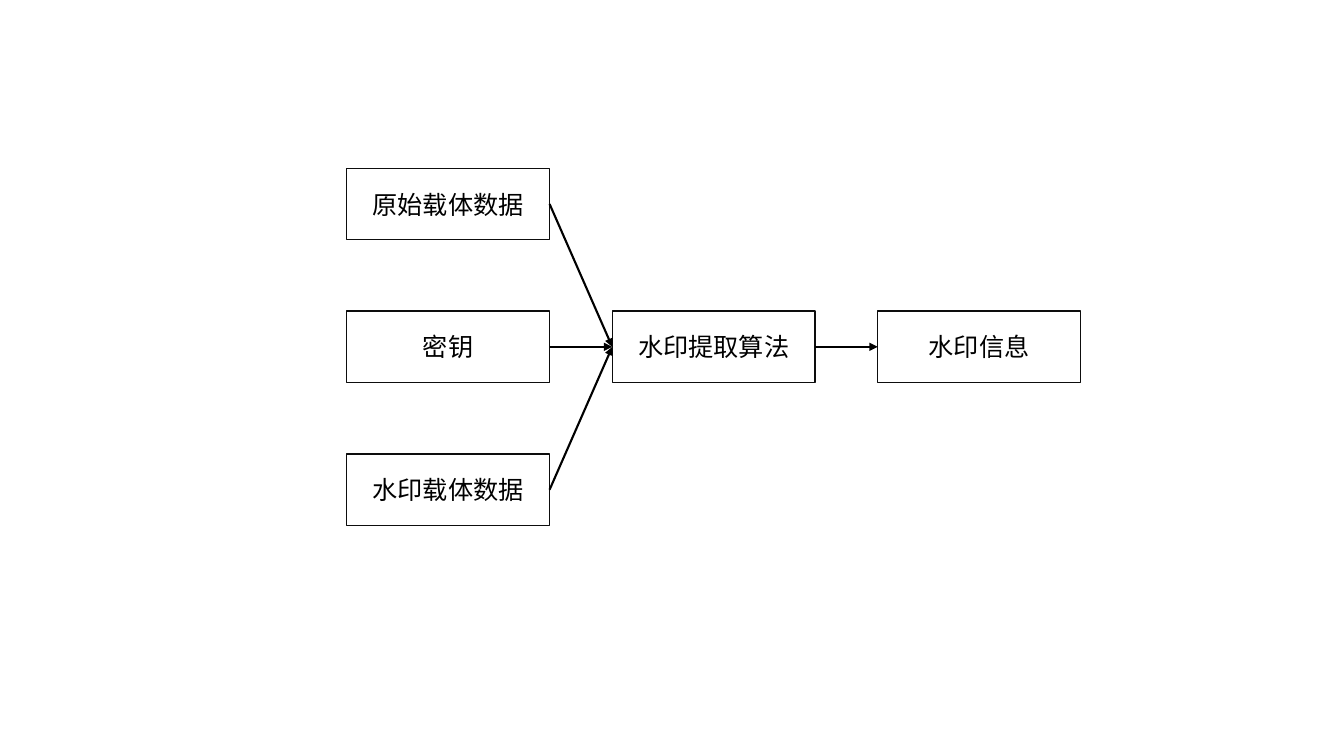
from lxml.etree import SubElement
from pptx import Presentation
from pptx.dml.color import RGBColor
from pptx.enum.shapes import MSO_CONNECTOR, MSO_SHAPE
from pptx.enum.text import MSO_ANCHOR, PP_ALIGN
from pptx.oxml.ns import qn
from pptx.util import Cm, Pt

BLACK = RGBColor(0x00, 0x00, 0x00)
OUTLINE = RGBColor(0x0D, 0x0D, 0x0D)

LEFT, TOP = 8.74, 4.24
BOX_WIDTH, BOX_HEIGHT = 5.11, 1.8
COLUMN_STEP, ROW_STEP = 6.69, 3.6
LEFT_SITE, RIGHT_SITE = 1, 3


class FlowDiagram:
    """Draws boxes and arrows on one slide in one style."""

    font_name = "Noto Sans CJK SC"
    font_size = Pt(18)

    def __init__(self, slide):
        """Keep the slide to draw on."""
        self.slide = slide

    def box(self, text, column, row):
        """Add an outlined box with centred text in a grid cell."""
        shape = self.slide.shapes.add_shape(
            MSO_SHAPE.RECTANGLE,
            Cm(LEFT + column * COLUMN_STEP), Cm(TOP + row * ROW_STEP),
            Cm(BOX_WIDTH), Cm(BOX_HEIGHT))
        shape.shadow.inherit = False
        shape.fill.background()
        shape.line.color.rgb = OUTLINE
        shape.line.width = Pt(1)
        frame = shape.text_frame
        frame.vertical_anchor = MSO_ANCHOR.MIDDLE
        paragraph = frame.paragraphs[0]
        paragraph.text = text
        paragraph.alignment = PP_ALIGN.CENTER
        font = paragraph.font
        font.size = self.font_size
        font.color.rgb = BLACK
        font.name = self.font_name
        properties = paragraph._p.pPr.find(qn("a:defRPr"))
        SubElement(properties, qn("a:ea"), typeface=self.font_name)
        return shape

    def arrow(self, source, target):
        """Connect the right side of one box to the left side of another."""
        connector = self.slide.shapes.add_connector(
            MSO_CONNECTOR.STRAIGHT, 0, 0, 0, 0)
        connector.begin_connect(source, RIGHT_SITE)
        connector.end_connect(target, LEFT_SITE)
        connector.line.color.rgb = BLACK
        connector.line.width = Pt(1.5)
        SubElement(connector.line._get_or_add_ln(), qn("a:tailEnd"),
                   type="triangle")
        SubElement(connector._element.spPr, qn("a:effectLst"))


def main():
    """Build the watermark extraction slide."""
    presentation = Presentation()
    presentation.slide_width = Cm(33.87)
    presentation.slide_height = Cm(19.05)
    blank_layout = presentation.slide_layouts[6]
    diagram = FlowDiagram(presentation.slides.add_slide(blank_layout))

    algorithm = diagram.box("水印提取算法", 1, 1)
    result = diagram.box("水印信息", 2, 1)
    for row, text in enumerate(("原始载体数据", "密钥", "水印载体数据")):
        diagram.arrow(diagram.box(text, 0, row), algorithm)
    diagram.arrow(algorithm, result)

    presentation.save("out.pptx")


main()
